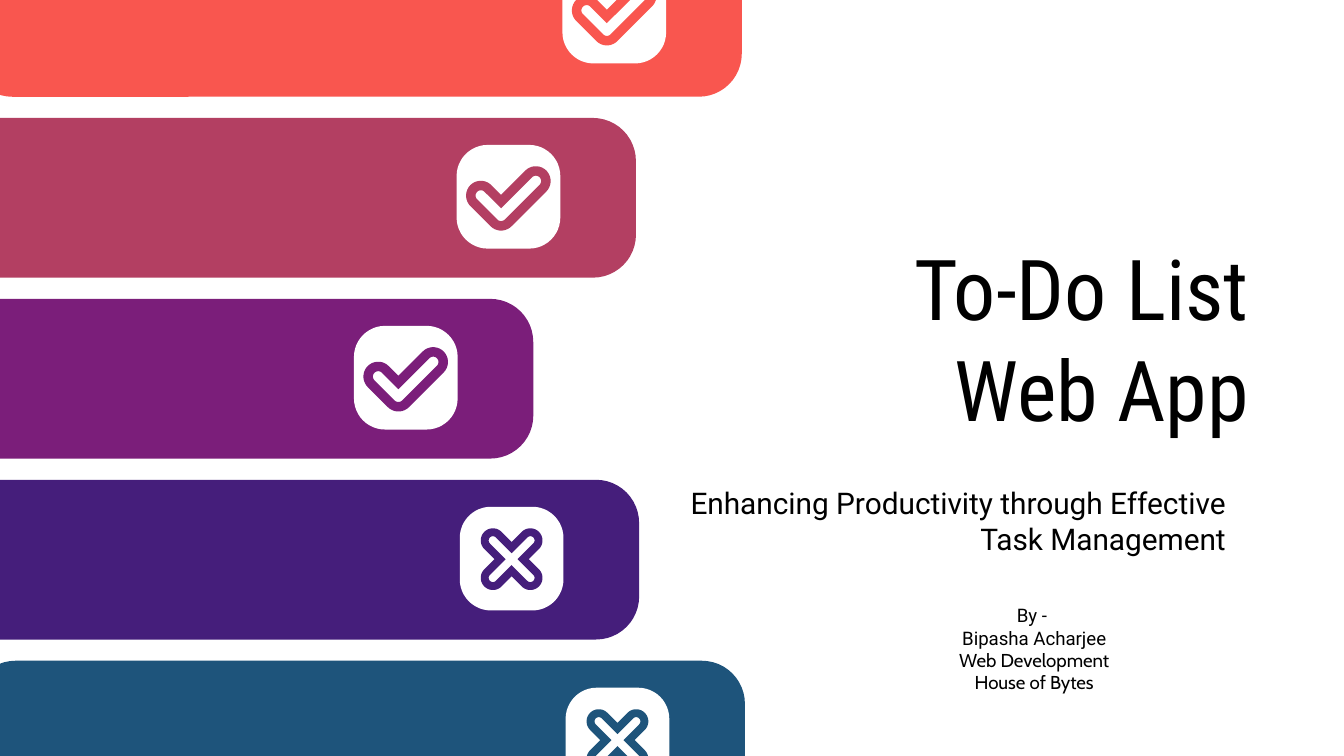
from dataclasses import dataclass
from math import cos, pi, sin, sqrt

from pptx import Presentation
from pptx.dml.color import RGBColor
from pptx.enum.shapes import MSO_SHAPE
from pptx.enum.text import MSO_ANCHOR, PP_ALIGN
from pptx.util import Cm, Pt

ROUNDED = MSO_SHAPE.ROUNDED_RECTANGLE
MIDDLE = MSO_ANCHOR.MIDDLE
RIGHT, CENTER = PP_ALIGN.RIGHT, PP_ALIGN.CENTER


@dataclass(frozen=True)
class Theme:
    ink: str = "000000"
    paper: str = "FFFFFF"
    bars: tuple = ("F9564F", "B33F62", "7B1E7A", "451E7B", "1E547B")
    title_font: str = "Roboto Condensed"
    body_font: str = "Roboto"
    accent_font: str = "Cabin"
    title_size: float = 45
    subtitle_size: float = 16
    author_size: float = 10


@dataclass(frozen=True)
class Box:
    left: float
    top: float
    width: float
    height: float


@dataclass(frozen=True)
class Mark:
    """Rounded arms leaving a hub; lengths in cm, angles in degrees."""
    hub_x: float
    hub_y: float
    arms: tuple
    outer: float
    inner: float


THEME = Theme()
CHECK = Mark(0.84, 1.34, ((225, 0.54), (315, 0.93)), 0.28, 0.1)
CROSS = Mark(0.98, 0.99, tuple((angle, 0.5) for angle in (45, 135, 225, 315)),
             0.23, 0.08)

BAR_WIDTH, BAR_HEIGHT, BAR_PITCH, FIRST_TOP = 14.6, 3.02, 3.42, -1.19
BADGE_SIZE, BADGE_INSET = 1.96, 3.39
# Right edge of each bar, drop of its badge, and its mark
BARS = (
    (14.02, 0.43, CHECK),
    (12.02, 0.51, CHECK),
    (10.08, 0.51, CHECK),
    (12.08, 0.51, CROSS),
    (14.08, 0.51, CROSS),
)


def paint(shape, color):
    shape.shadow.inherit = False
    shape.fill.solid()
    shape.fill.fore_color.rgb = RGBColor.from_string(color)
    shape.line.fill.background()


def add_rounded(page, box, rounding, color):
    shape = page.shapes.add_shape(ROUNDED, Cm(box.left), Cm(box.top),
                                  Cm(box.width), Cm(box.height))
    shape.adjustments[0] = rounding
    paint(shape, color)


def polar(x, y, radius, angle):
    return x + radius * cos(angle * pi / 180), y + radius * sin(angle * pi / 180)


def arc(x, y, radius, start, end):
    return [polar(x, y, radius, angle) for angle in range(start, end + 1, 10)]


def mark_outline(mark, x, y, radius):
    """Points around the mark at the given distance from its arms."""
    points = []
    following = mark.arms[1:] + ((mark.arms[0][0] + 360, 0),)
    for (angle, length), (next_angle, _) in zip(mark.arms, following):
        points += arc(*polar(x, y, length, angle), radius, angle - 90, angle + 90)
        if next_angle - angle == 90:
            points.append(polar(x, y, radius * sqrt(2), angle + 45))
        else:
            points += arc(x, y, radius, angle + 90, next_angle - 90)
    return [(Cm(px), Cm(py)) for px, py in points]


def add_mark(page, badge, mark, color):
    x, y = badge.left + mark.hub_x, badge.top + mark.hub_y
    outer = mark_outline(mark, x, y, mark.outer)
    inner = mark_outline(mark, x, y, mark.inner)[::-1]
    builder = page.shapes.build_freeform(*outer[0])
    builder.add_line_segments(outer[1:], close=True)
    builder.move_to(*inner[0])
    builder.add_line_segments(inner[1:], close=True)
    paint(builder.convert_to_shape(), color)


def add_bar(page, box, badge_drop, mark, color):
    add_rounded(page, box, 0.27, color)
    badge = Box(box.left + box.width - BADGE_INSET, box.top + badge_drop,
                BADGE_SIZE, BADGE_SIZE)
    add_rounded(page, badge, 0.3, THEME.paper)
    add_mark(page, badge, mark, color)


def add_text(page, box, text, size, fonts, align):
    """Place text, with one font for each paragraph."""
    frame = page.shapes.add_textbox(Cm(box.left), Cm(box.top),
                                    Cm(box.width), Cm(box.height)).text_frame
    frame.word_wrap = True
    frame.vertical_anchor = MIDDLE
    frame.margin_left = frame.margin_right = Cm(0.25)
    frame.margin_top = frame.margin_bottom = Cm(0.25)
    frame.text = text
    for paragraph, font in zip(frame.paragraphs, fonts):
        paragraph.alignment = align
        for span in paragraph.runs:
            span.font.name = font
            span.font.size = Pt(size)
            span.font.color.rgb = RGBColor.from_string(THEME.ink)


def main():
    deck = Presentation()
    deck.slide_width, deck.slide_height = Cm(25.4), Cm(14.29)
    page = deck.slides.add_slide(deck.slide_layouts[6])

    # Title and subtitle
    add_text(page, Box(10.03, 3.89, 13.82, 4.98), "To-Do List\vWeb App",
             THEME.title_size, [THEME.title_font], RIGHT)
    add_text(page, Box(12.47, 9.25, 10.95, 1.17),
             "Enhancing Productivity through Effective Task Management",
             THEME.subtitle_size, [THEME.body_font], RIGHT)

    # Stack of task bars
    for row, ((right, drop, mark), color) in enumerate(zip(BARS, THEME.bars)):
        box = Box(right - BAR_WIDTH, FIRST_TOP + row * BAR_PITCH,
                  BAR_WIDTH, BAR_HEIGHT)
        add_bar(page, box, drop, mark, color)

    # Author
    add_text(page, Box(14.07, 11.68, 10.95, 1.17),
             "By - \nBipasha Acharjee\nWeb Development\vHouse of Bytes",
             THEME.author_size,
             [THEME.body_font, THEME.body_font, THEME.accent_font], CENTER)

    deck.save("out.pptx")


if __name__ == "__main__":
    main()
